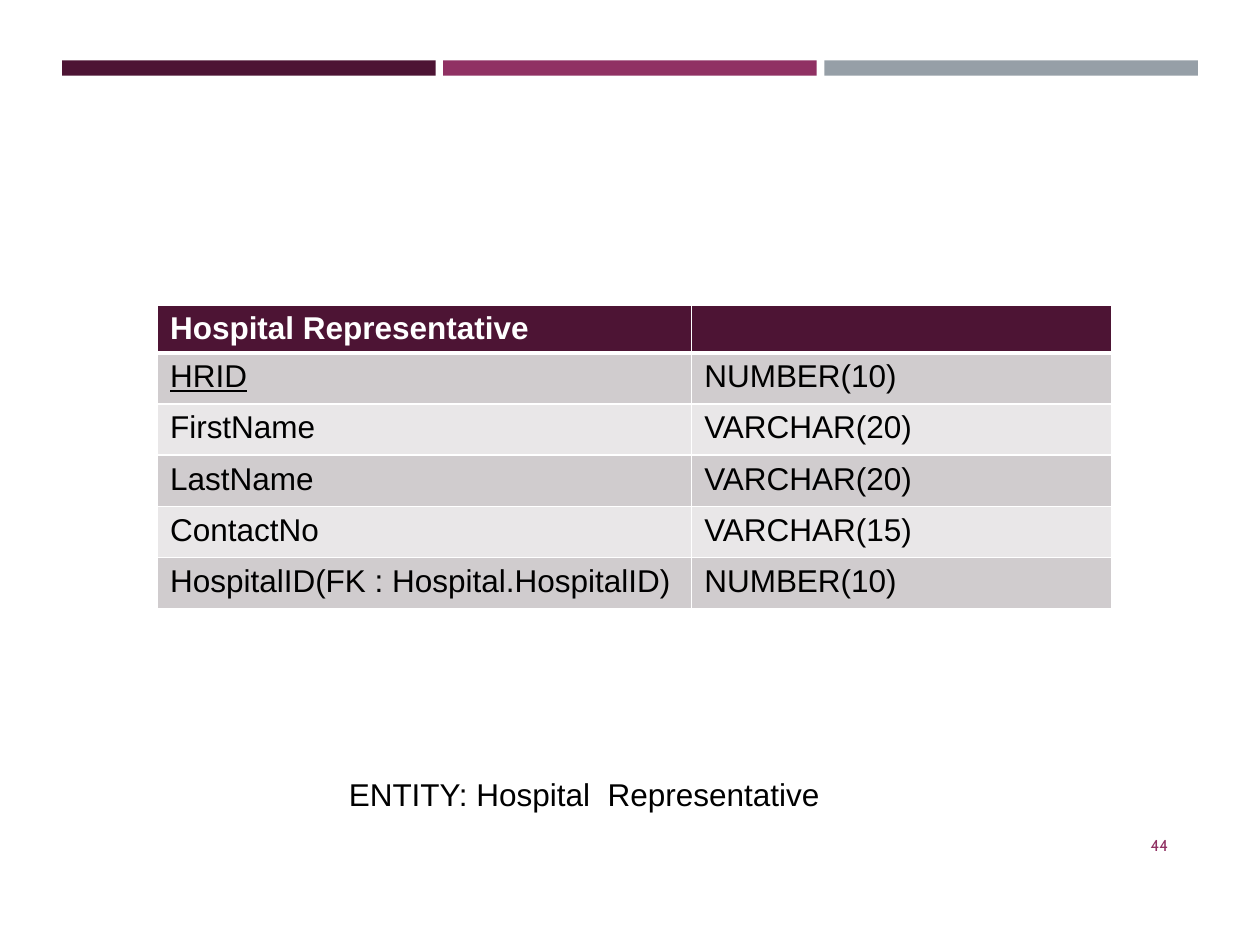
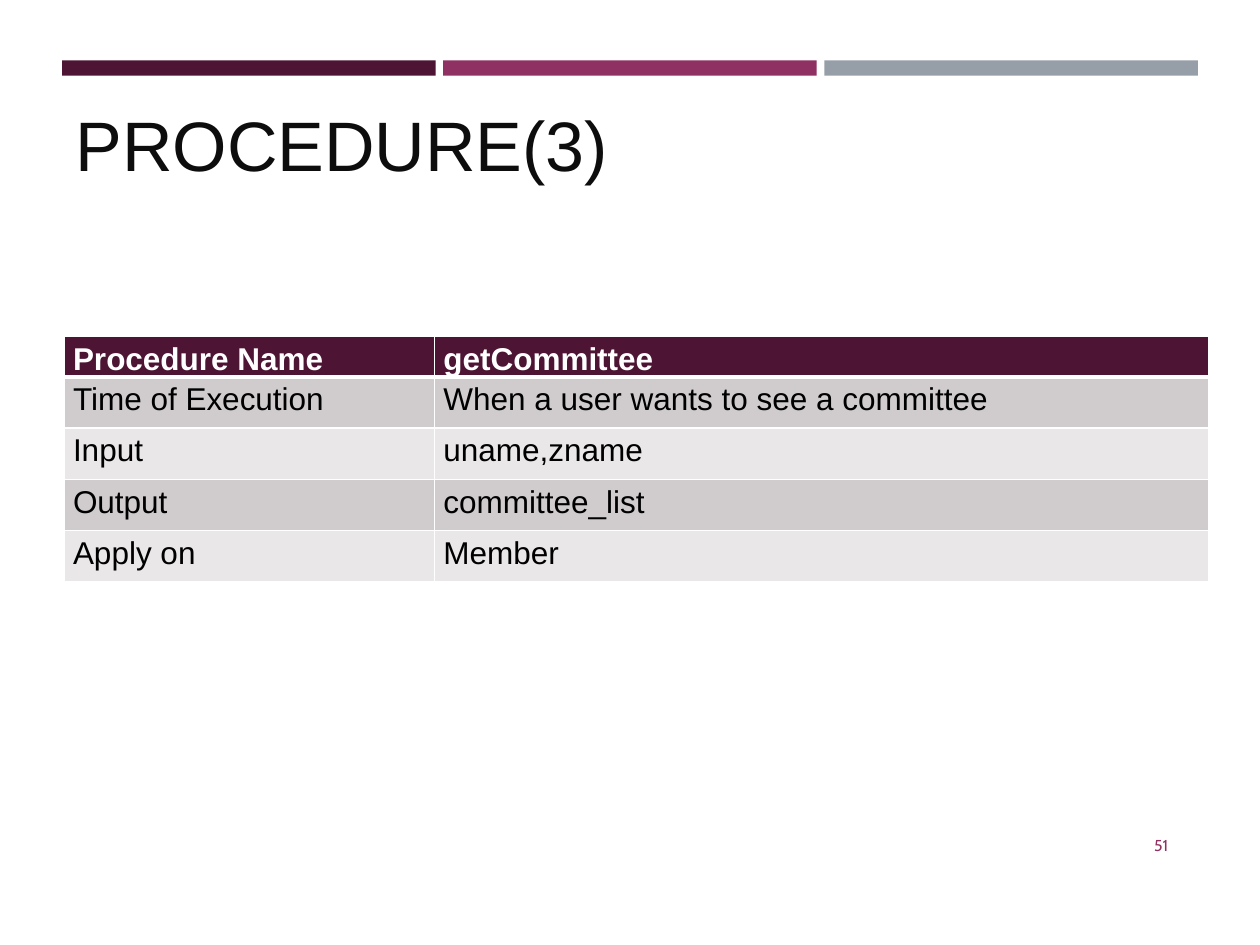
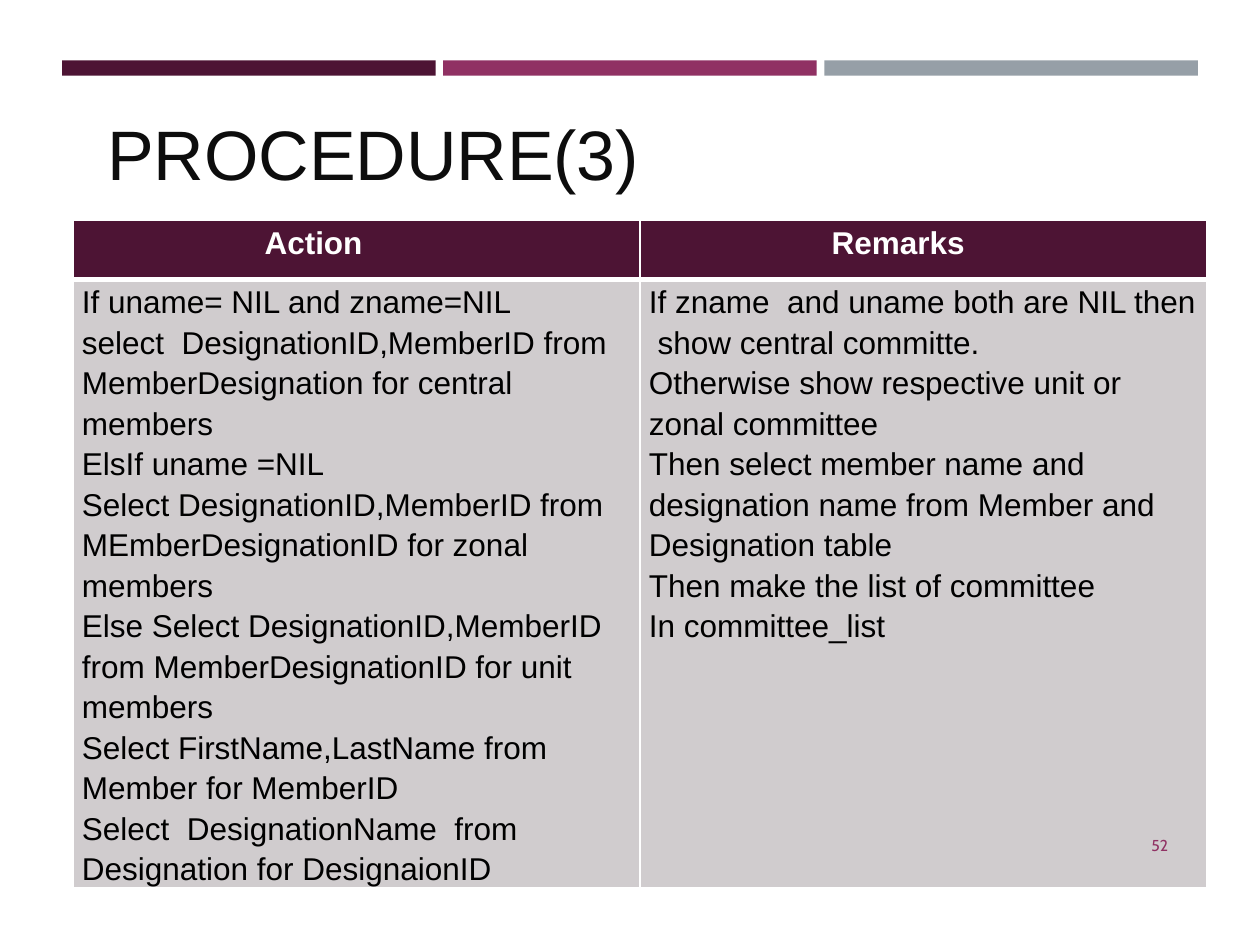
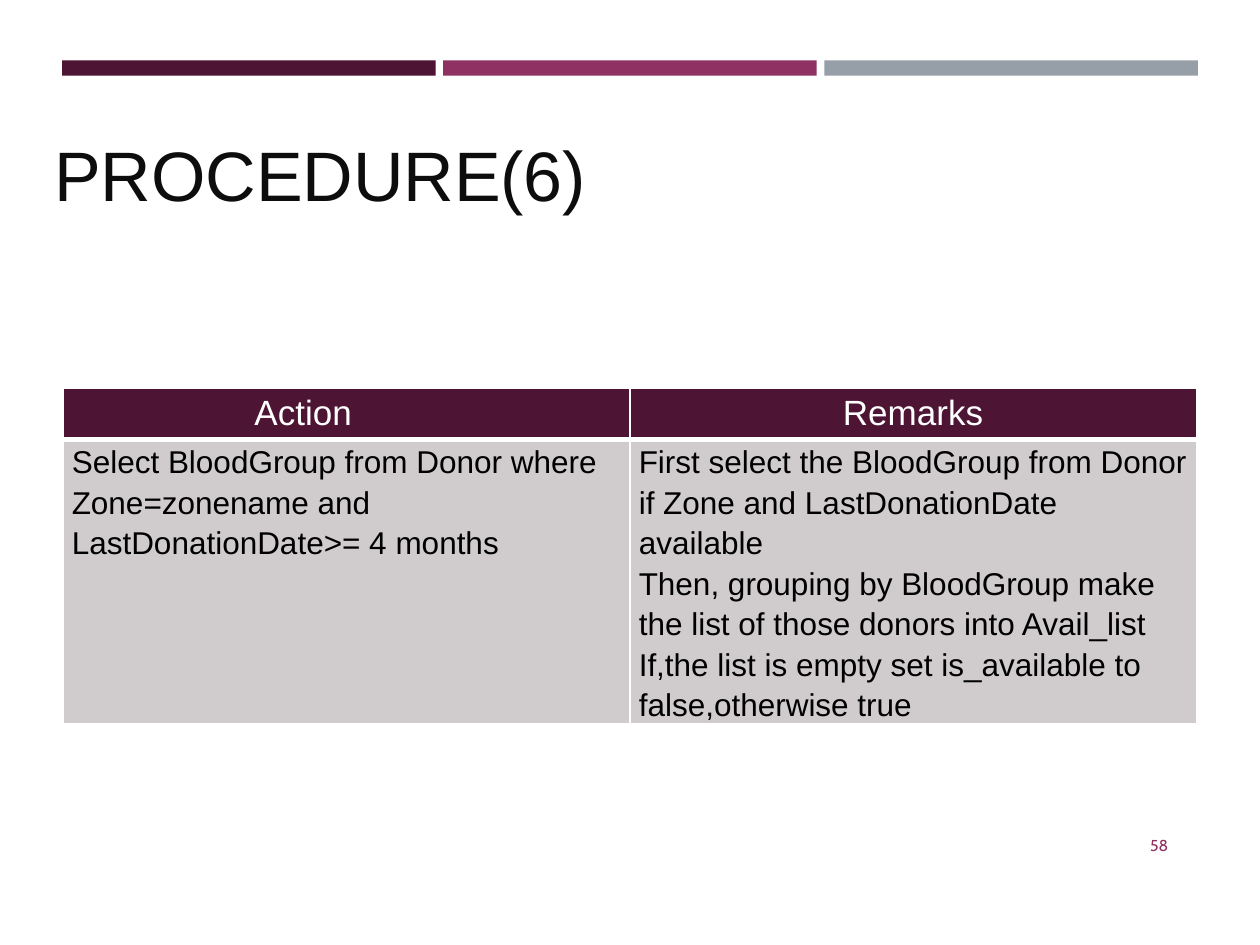
from dataclasses import dataclass
from typing import Optional

from lxml.etree import SubElement
from pptx import Presentation
from pptx.dml.color import RGBColor
from pptx.enum.shapes import MSO_SHAPE
from pptx.enum.text import MSO_ANCHOR, MSO_AUTO_SIZE, PP_ALIGN
from pptx.oxml.ns import qn
from pptx.util import Inches, Pt

# Shared look
PLUM, BERRY, GREY = "4D1434", "903163", "969FA7"
WHITE, BLACK, TITLE_INK = "FFFFFF", "000000", "0D0D0D"
STRIPES = ("D0CCCE", "E9E7E8")
BODY_FONT, NUMBER_FONT = "Arial", "Cabin"
TITLE_ONLY, BLANK = 5, 6

# Grid of 100 columns by 75 rows
SLIDE_W, SLIDE_H = Inches(10), Inches(7.5)
COLS, ROWS = 100, 75


@dataclass(frozen=True)
class Box:
    """Left and width in grid columns, top and height in grid rows."""
    left: float
    top: float
    width: float
    height: float


@dataclass(frozen=True)
class Style:
    size: float = 18
    color: str = BLACK
    font: str = BODY_FONT
    bold: bool = False
    underline: bool = False


@dataclass(frozen=True)
class TableSpec:
    left: float
    top: float
    col_widths: tuple
    row_heights: tuple
    cells: list
    inset: tuple = (0.7, 0)
    header_indents: Optional[tuple] = None
    header: Style = Style(color=WHITE, bold=True)
    line_spacing: Optional[float] = 1.15
    key: str = ""


@dataclass(frozen=True)
class Page:
    number: int
    table: TableSpec
    title: str = ""
    title_box: Optional[Box] = None
    caption: str = ""


BAND, BAND_PITCH = Box(4.92, 4.8, 29.65, 1.2), 30.25
NUMBER_BOX = Box(85.3, 65.1, 8.4, 4)
CAPTION_BOX = Box(26.7, 61, 45, 4)

PAGES = [
    Page(44, TableSpec(
        12.5, 24.2, (42.4, 33.3), (3.8,) + (4.06,) * 5,
        [["Hospital Representative", ""],
         ["HRID", "NUMBER(10)"],
         ["FirstName", "VARCHAR(20)"],
         ["LastName", "VARCHAR(20)"],
         ["ContactNo", "VARCHAR(15)"],
         ["HospitalID(FK : Hospital.HospitalID)", "NUMBER(10)"]],
        inset=(1, 0.5), line_spacing=None, key="HRID"),
        caption="ENTITY: Hospital  Representative"),
    Page(51, TableSpec(
        5.1, 26.7, (29.4, 61.4), (3.2,) + (4.06,) * 4,
        [["Procedure Name", "getCommittee"],
         ["Time of Execution", "When a user wants to see a committee"],
         ["Input", "uname,zname"],
         ["Output", "committee_list"],
         ["Apply on", "Member"]]),
        "PROCEDURE(3)", Box(5, 6.7, 90, 8.5)),
    Page(52, TableSpec(
        5.8, 17.5, (45, 45), (4.7, 48.2),
        [["Action", "Remarks"],
         ["If uname= NIL and zname=NIL\n"
          "select  DesignationID,MemberID from MemberDesignation for central members\n"
          "ElsIf uname =NIL\n"
          "Select DesignationID,MemberID from MEmberDesignationID for zonal members\n"
          "Else Select DesignationID,MemberID from MemberDesignationID for unit members\n"
          "Select FirstName,LastName from Member for MemberID\n"
          "Select  DesignationName  from Designation for DesignaionID",
          "If zname  and uname both are NIL then  show central committe.\n"
          "Otherwise show respective unit or zonal committee\n"
          "Then select member name and designation name from Member and Designation table\n"
          "Then make the list of committee\n"
          "In committee_list"]],
        header_indents=(15.2, 15.2)),
        "PROCEDURE(3)", Box(7.5, 6.7, 87.4, 9.2)),
    Page(58, TableSpec(
        5, 30.8, (45, 45), (4.1, 22.5),
        [["Action", "Remarks"],
         ["Select BloodGroup from Donor where Zone=zonename and "
          "LastDonationDate>= 4 months",
          "First select the BloodGroup from Donor if Zone and LastDonationDate available\n"
          "Then, grouping by BloodGroup make the list of those donors into Avail_list\n"
          "If,the list is empty set is_available to false,otherwise true"]],
        header_indents=(15.2, 16.9), header=Style(20, WHITE)),
        "PROCEDURE(6)", Box(3.3, 5.8, 87.4, 11.8)),
]


def rgb(color: str) -> RGBColor:
    return RGBColor.from_string(color)


def col(n: float) -> int:
    return round(SLIDE_W * n / COLS)


def row(n: float) -> int:
    return round(SLIDE_H * n / ROWS)


def place(box: Box) -> tuple:
    return col(box.left), row(box.top), col(box.width), row(box.height)


def add_run(p, text: str, style: Style) -> None:
    r = p.add_run()
    r.text = text
    f = r.font
    f.name, f.size, f.bold = style.font, Pt(style.size), style.bold
    f.underline = style.underline
    f.color.rgb = rgb(style.color)


def add_text(s, box: Box, text: str, style: Style,
             align=PP_ALIGN.LEFT, anchor=MSO_ANCHOR.TOP) -> None:
    tf = s.shapes.add_textbox(*place(box)).text_frame
    tf.word_wrap, tf.vertical_anchor = True, anchor
    p = tf.paragraphs[0]
    p.alignment = align
    add_run(p, text, style)


def add_bands(prs, s) -> None:
    """Draw the three top bands and hand them to the slide master."""
    tree = prs.slide_master.shapes.element
    for i, color in enumerate((PLUM, BERRY, GREY)):
        sp = s.shapes.add_shape(
            MSO_SHAPE.RECTANGLE, col(BAND.left + i * BAND_PITCH),
            row(BAND.top), col(BAND.width), row(BAND.height))
        sp.name = f"Top band {i + 1}"
        sp.shadow.inherit = False
        sp.fill.solid()
        sp.fill.fore_color.rgb = rgb(color)
        sp.line.fill.background()
        sp.element.nvSpPr.cNvPr.set("id", str(50 + i))
        tree.insert(2 + i, sp.element)


def set_title(s, text: str, box: Box) -> None:
    title = s.shapes.title
    title.left, title.top, title.width, title.height = place(box)
    tf = title.text_frame
    tf.word_wrap, tf.auto_size = True, MSO_AUTO_SIZE.NONE
    tf.vertical_anchor = MSO_ANCHOR.BOTTOM
    p = tf.paragraphs[0]
    p.alignment = PP_ALIGN.LEFT
    add_run(p, text, Style(40, TITLE_INK))


def set_borders(cell, top: float, bottom: float) -> None:
    tcPr = cell._tc.get_or_add_tcPr()
    for side, width in (("L", 1), ("R", 1), ("T", top), ("B", bottom)):
        ln = SubElement(tcPr, qn(f"a:ln{side}"), w=str(Pt(width)))
        fill = SubElement(ln, qn("a:solidFill"))
        SubElement(fill, qn("a:srgbClr"), val=WHITE)


def fill_cell(cell, text: str, style: Style, spacing: Optional[float]) -> None:
    tf = cell.text_frame
    for i, line in enumerate(text.split("\n")):
        p = tf.add_paragraph() if i else tf.paragraphs[0]
        if spacing:
            p.line_spacing = spacing
        if line:
            add_run(p, line, style)
        else:
            # An empty cell keeps the row's font size
            end = SubElement(p._p, qn("a:endParaRPr"), sz=str(style.size * 100))
            SubElement(end, qn("a:latin"), typeface=style.font)


def add_table(s, spec: TableSpec) -> None:
    box = Box(spec.left, spec.top, sum(spec.col_widths), sum(spec.row_heights))
    table = s.shapes.add_table(len(spec.cells), len(spec.col_widths),
                               *place(box)).table
    table.horz_banding = False
    for column, width in zip(table.columns, spec.col_widths):
        column.width = col(width)
    for r, (texts, height) in enumerate(zip(spec.cells, spec.row_heights)):
        table.rows[r].height = row(height)
        is_header = r == 0
        for c, text in enumerate(texts):
            cell = table.cell(r, c)
            cell.margin_left = cell.margin_right = col(spec.inset[0])
            cell.margin_top = cell.margin_bottom = row(spec.inset[1])
            if is_header and spec.header_indents:
                cell.margin_left = col(spec.header_indents[c])
            set_borders(cell, 3 if r == 1 else 1, 3 if is_header else 1)
            cell.fill.solid()
            cell.fill.fore_color.rgb = rgb(
                PLUM if is_header else STRIPES[(r - 1) % 2])
            style = spec.header if is_header else Style(
                underline=bool(spec.key) and text == spec.key)
            fill_cell(cell, text, style, spec.line_spacing)


def add_page(prs, page: Page):
    s = prs.slides.add_slide(
        prs.slide_layouts[TITLE_ONLY if page.title else BLANK])
    if page.title:
        set_title(s, page.title, page.title_box)
    add_table(s, page.table)
    if page.caption:
        add_text(s, CAPTION_BOX, page.caption, Style())
    add_text(s, NUMBER_BOX, str(page.number), Style(9, BERRY, NUMBER_FONT),
             PP_ALIGN.RIGHT, MSO_ANCHOR.MIDDLE)
    return s


def main() -> None:
    prs = Presentation()
    prs.slide_width, prs.slide_height = SLIDE_W, SLIDE_H
    slides = [add_page(prs, page) for page in PAGES]
    add_bands(prs, slides[0])
    prs.save("out.pptx")


if __name__ == "__main__":
    main()
